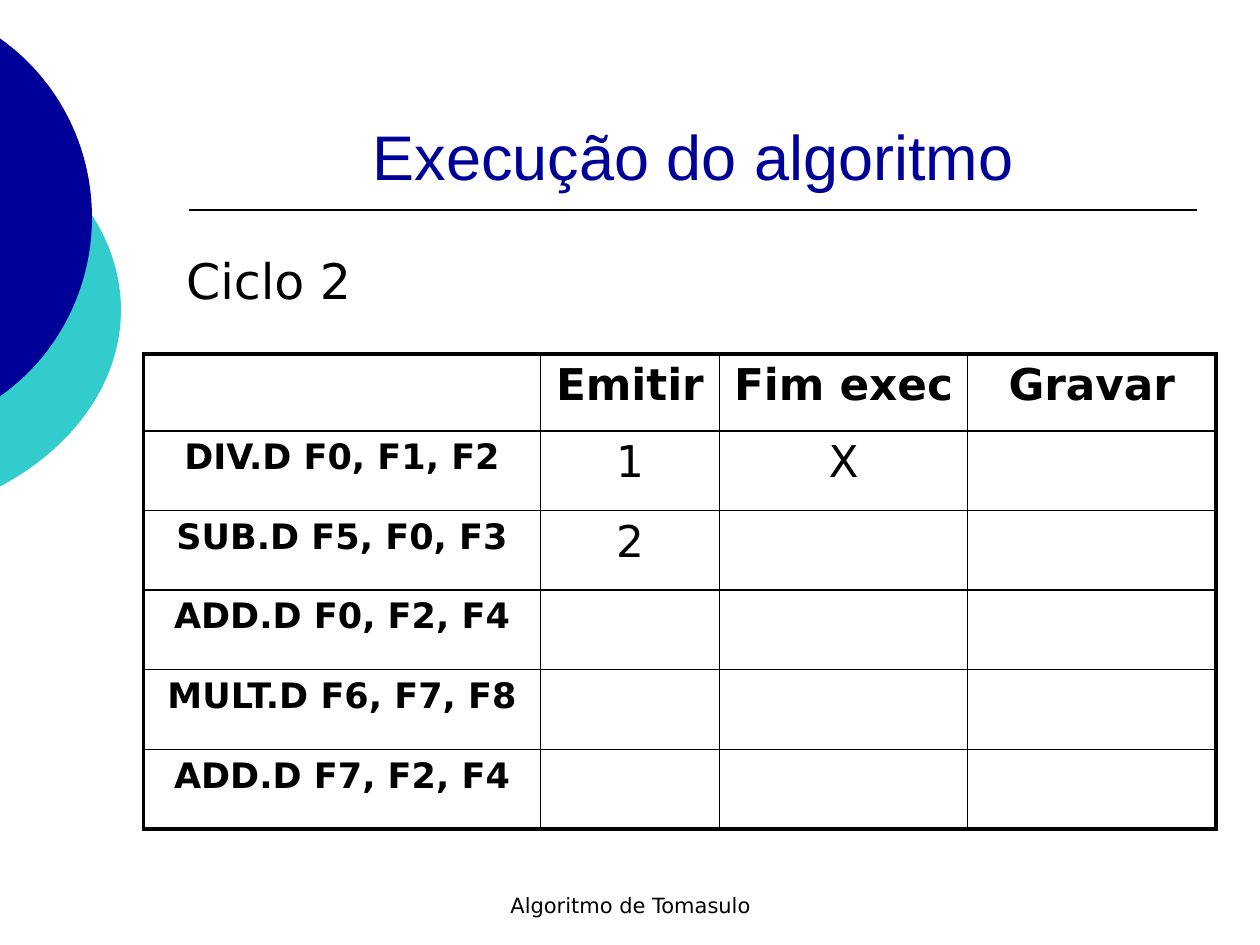
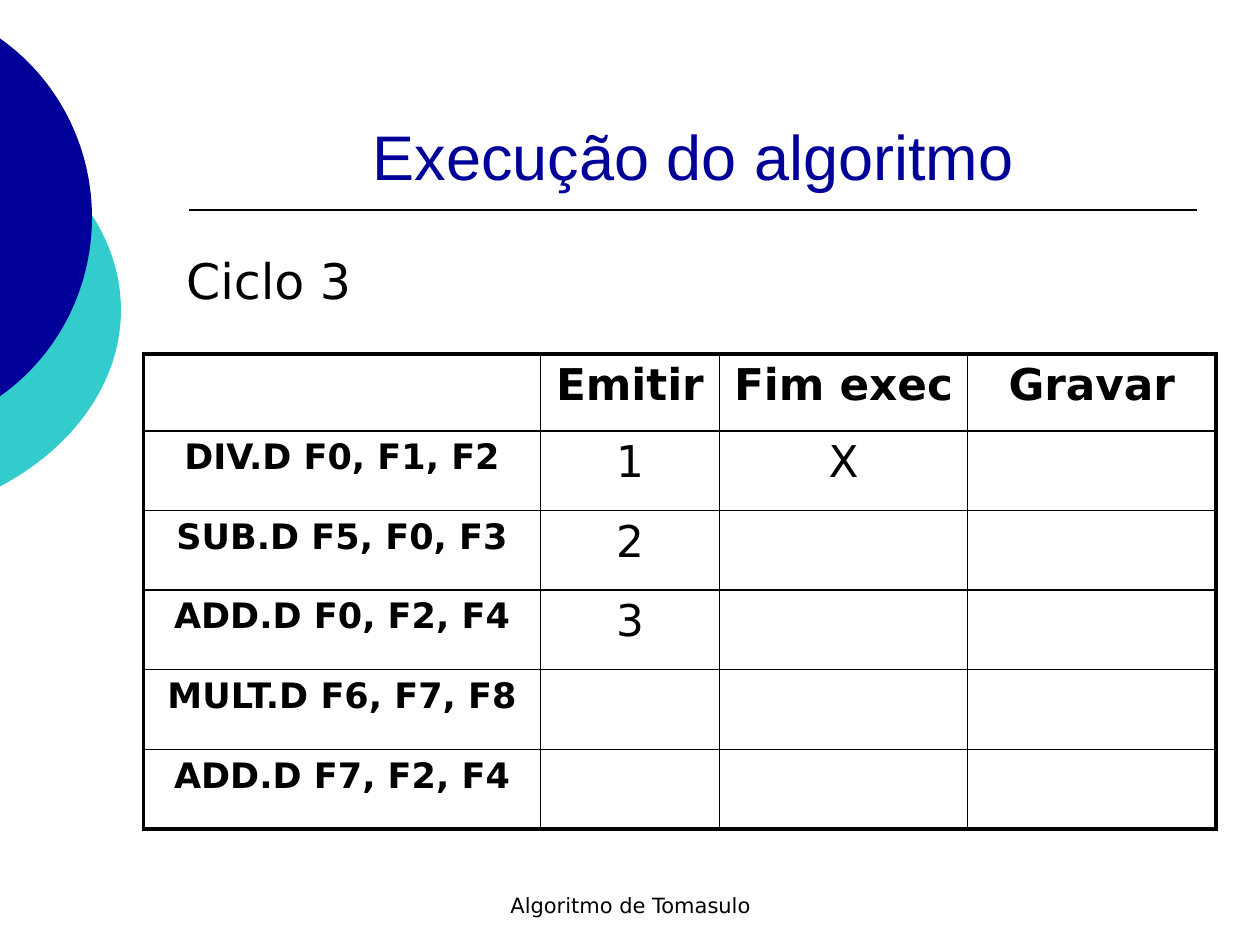
from dataclasses import dataclass

from lxml.etree import SubElement
from pptx import Presentation
from pptx.dml.color import RGBColor
from pptx.enum.shapes import MSO_CONNECTOR, MSO_SHAPE
from pptx.enum.text import MSO_ANCHOR as Anchor, PP_ALIGN as Align
from pptx.oxml.ns import qn
from pptx.slide import Slide
from pptx.table import _Cell as Cell
from pptx.text.text import TextFrame
from pptx.util import Inches, Pt

BLACK = RGBColor(0x00, 0x00, 0x00)
WHITE = RGBColor(0xFF, 0xFF, 0xFF)
NAVY = RGBColor(0x00, 0x00, 0x99)
TURQUOISE = RGBColor(0x33, 0xCC, 0xCC)
TITLE_FONT = "Arial"
BODY_FONT = "DejaVu Sans"

HEADERS = ["", "Emitir", "Fim exec", "Gravar"]
INSTRUCTIONS = [
    "DIV.D F0, F1, F2",
    "SUB.D F5, F0, F3",
    "ADD.D F0, F2, F4",
    "MULT.D F6, F7, F8",
    "ADD.D F7, F2, F4",
]
COLUMN_WIDTHS = [3.15, 1.42, 1.97, 1.97]
TABLE_HEIGHT, HEADER_HEIGHT = 3.77, 0.61
ROW_HEIGHT = (TABLE_HEIGHT - HEADER_HEIGHT) / len(INSTRUCTIONS)
INNER_BORDER, OUTER_BORDER = 1, 2.25
RULE_TOP = 5 / 3


@dataclass(frozen=True)
class Disc:
    """An ellipse that bleeds off the left edge of the slide."""
    left: float
    top: float
    width: float
    height: float
    color: RGBColor


@dataclass(frozen=True)
class Cycle:
    number: int
    issued: list[str]
    finished: list[str]


DISCS = [
    Disc(-3.54, 0.75, 4.5, 3.42, TURQUOISE),
    Disc(-2.65, 0, 3.38, 3.45, NAVY),
]
CYCLES = [
    Cycle(2, issued=["1", "2"], finished=["X"]),
    Cycle(3, issued=["1", "2", "3"], finished=["X"]),
]


def write_text(frame: TextFrame, text: str, *, size: float, font: str = BODY_FONT,
               color: RGBColor = BLACK, bold: bool = False,
               align: Align = Align.CENTER) -> None:
    paragraph = frame.paragraphs[0]
    paragraph.alignment = align
    run = paragraph.add_run()
    run.text = text
    run.font.size = Pt(size)
    run.font.name = font
    run.font.bold = bold
    run.font.color.rgb = color


def add_text(slide: Slide, text: str, left: float, top: float, width: float,
             height: float, *, anchor: Anchor = Anchor.TOP, **text_format) -> None:
    box = slide.shapes.add_textbox(Inches(left), Inches(top), Inches(width), Inches(height))
    box.text_frame.word_wrap = True
    box.text_frame.vertical_anchor = anchor
    write_text(box.text_frame, text, **text_format)


def add_disc(slide: Slide, disc: Disc) -> None:
    shape = slide.shapes.add_shape(
        MSO_SHAPE.OVAL, Inches(disc.left), Inches(disc.top),
        Inches(disc.width), Inches(disc.height))
    shape.shadow.inherit = False
    shape.fill.solid()
    shape.fill.fore_color.rgb = disc.color
    shape.line.fill.background()


def add_title_rule(slide: Slide) -> None:
    rule = slide.shapes.add_connector(
        MSO_CONNECTOR.STRAIGHT, Inches(1.5), Inches(RULE_TOP), Inches(9.5), Inches(RULE_TOP))
    rule.line.color.rgb = BLACK
    rule.line.width = Pt(1)
    SubElement(rule._element.spPr, qn("a:effectLst"))


def set_borders(cell: Cell, widths: dict[str, float]) -> None:
    properties = cell._tc.get_or_add_tcPr()
    for side, width in widths.items():
        line = SubElement(properties, qn(f"a:ln{side}"), w=str(Pt(width)))
        fill = SubElement(line, qn("a:solidFill"))
        SubElement(fill, qn("a:srgbClr"), val=str(BLACK))


def add_cycle_table(slide: Slide, cycle: Cycle) -> None:
    row_count, column_count = len(INSTRUCTIONS) + 1, len(HEADERS)
    row_heights = [HEADER_HEIGHT] + [ROW_HEIGHT] * len(INSTRUCTIONS)
    table = slide.shapes.add_table(
        row_count, column_count, Inches(1.14), Inches(2.81),
        Inches(sum(COLUMN_WIDTHS)), Inches(TABLE_HEIGHT)).table
    table.first_row = table.horz_banding = False
    for column, width in zip(table.columns, COLUMN_WIDTHS):
        column.width = Inches(width)
    for row, height in zip(table.rows, row_heights):
        row.height = Inches(height)

    columns = [INSTRUCTIONS, cycle.issued, cycle.finished, []]
    for column_index, (header, values) in enumerate(zip(HEADERS, columns)):
        texts = [header, *values]
        texts += [""] * (row_count - len(texts))
        for row_index, text in enumerate(texts):
            cell = table.cell(row_index, column_index)
            on_edge = {
                "L": column_index == 0,
                "R": column_index == column_count - 1,
                "T": row_index == 0,
                "B": row_index == row_count - 1,
            }
            set_borders(cell, {side: OUTER_BORDER if outer else INNER_BORDER
                               for side, outer in on_edge.items()})
            cell.fill.background()
            if text:
                write_text(cell.text_frame, text, size=25 if row_index == 0 or column_index else 20,
                           bold=row_index == 0 or column_index == 0)


def add_cycle_slide(presentation: Presentation, cycle: Cycle) -> None:
    slide = presentation.slides.add_slide(presentation.slide_layouts[6])
    slide.background.fill.solid()
    slide.background.fill.fore_color.rgb = WHITE
    for disc in DISCS:
        add_disc(slide, disc)
    add_title_rule(slide)
    add_text(slide, "Algoritmo de Tomasulo", 3.42, 6.83, 3.17, 0.5,
             anchor=Anchor.BOTTOM, size=12)
    add_text(slide, "Execução do algoritmo", 1.5, 0.33, 8, 1.25,
             anchor=Anchor.BOTTOM, size=36, font=TITLE_FONT, color=NAVY)
    add_cycle_table(slide, cycle)
    add_text(slide, f"Ciclo {cycle.number}", 1.38, 1.94, 1.73, 0.57,
             size=28, align=Align.LEFT)


def main() -> None:
    presentation = Presentation()
    presentation.slide_width = Inches(10)
    presentation.slide_height = Inches(7.5)
    for cycle in CYCLES:
        add_cycle_slide(presentation, cycle)
    presentation.save("out.pptx")


if __name__ == "__main__":
    main()
